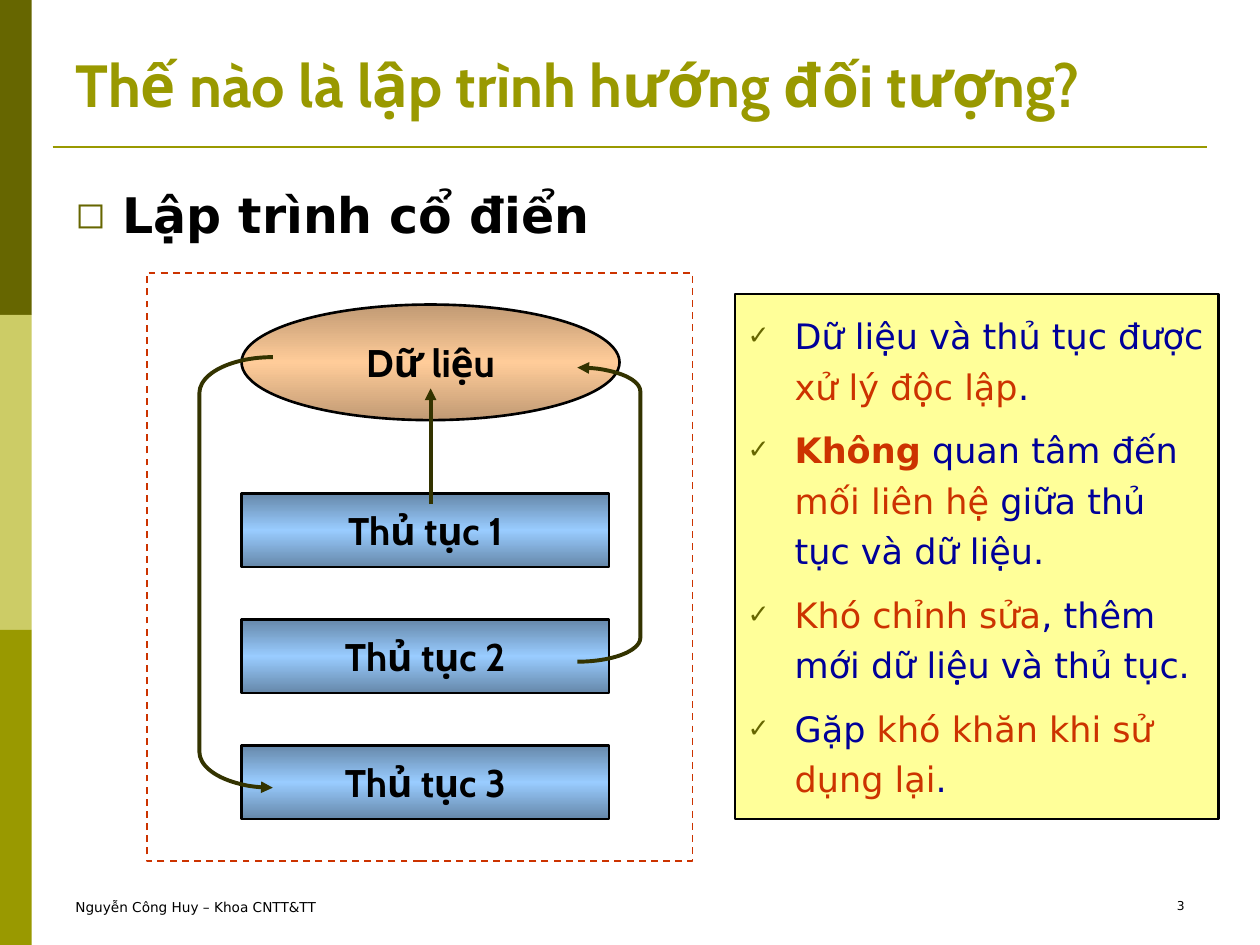
from copy import deepcopy

from lxml import etree
from pptx import Presentation
from pptx.dml.color import RGBColor
from pptx.enum import dml, shapes, text
from pptx.oxml.ns import qn
from pptx.util import Cm, Pt

OLIVE = RGBColor(0x99, 0x99, 0x00)
DARK_OLIVE = RGBColor(0x66, 0x66, 0x00)
LIGHT_OLIVE = RGBColor(0xCC, 0xCC, 0x66)
ARROW = RGBColor(0x33, 0x33, 0x00)
BLACK = RGBColor(0x00, 0x00, 0x00)
RED = RGBColor(0xCC, 0x33, 0x00)
NAVY = RGBColor(0x00, 0x00, 0x99)
YELLOW = RGBColor(0xFF, 0xFF, 0x99)
TAN = (RGBColor(0xC1, 0x9A, 0x74), RGBColor(0xFF, 0xCC, 0x99))
BLUE = (RGBColor(0x66, 0x88, 0xAA), RGBColor(0x99, 0xCC, 0xFF))

TITLE = "Thế nào là lập trình hướng đối tượng?"
HEADING = "Lập trình cổ điển"
FOOTER = "Nguyễn Công Huy – Khoa CNTT&TT"
NUMBER = "3"
DATA = "Dữ liệu"
PROCEDURES = ["Thủ tục 1", "Thủ tục 2", "Thủ tục 3"]
# Each remark is a list of (text, colour, bold)
REMARKS = [
    [("Dữ liệu và thủ tục được ", NAVY, False), ("xử lý độc lập", RED, False),
     (".", NAVY, False)],
    [("Không", RED, True), (" quan tâm đến ", NAVY, False),
     ("mối liên hệ", RED, False), (" giữa thủ tục và dữ liệu.", NAVY, False)],
    [("Khó chỉnh sửa", RED, False),
     (", thêm mới dữ liệu và thủ tục.", NAVY, False)],
    [("Gặp ", NAVY, False), ("khó khăn khi sử dụng lại", RED, False),
     (".", NAVY, False)],
]
STRIPES = [DARK_OLIVE, LIGHT_OLIVE, OLIVE]

TITLE_FONT = {"name": "Cabin", "size": Pt(34), "bold": True}
HEADING_FONT = {"name": "DejaVu Sans", "size": Pt(28), "bold": True}
LABEL_FONT = {"name": "Cabin", "size": Pt(22), "bold": True}
REMARK_FONT = {"name": "DejaVu Sans", "size": Pt(20)}
FOOTER_FONT = {"name": "DejaVu Sans", "size": Pt(7.8)}
NUMBER_FONT = {"name": "DejaVu Sans", "size": Pt(7)}

BOX_LEFT, BOX_WIDTH, BOX_HEIGHT = 4.87, 7.41, 1.48
FIRST_BOX_TOP, BOX_STEP = 9.95, 2.54
STRIPE_WIDTH, STRIPE_HEIGHT = 0.64, 6.35


def add_span(para, words, font, color):
    span = para.add_run()
    span.text = words
    for name, value in font.items():
        setattr(span.font, name, value)
    span.font.color.rgb = color


def add_bullet(para, char):
    """Give the paragraph a hanging olive bullet at 75 % size."""
    props = para._p.get_or_add_pPr()
    props.set("marL", str(Cm(0.95)))
    props.set("indent", str(-Cm(0.95)))
    color = etree.SubElement(props, qn("a:buClr"))
    etree.SubElement(color, qn("a:srgbClr"), val=str(DARK_OLIVE))
    etree.SubElement(props, qn("a:buSzPct"), val="75000")
    etree.SubElement(props, qn("a:buFont"), typeface="DejaVu Sans")
    etree.SubElement(props, qn("a:buChar"), char=char)


def add_box(page, kind, place, fill=None, line=None, width=1.5):
    box = page.shapes.add_shape(kind, *map(Cm, place))
    box.shadow.inherit = False
    if fill is None:
        box.fill.background()
    elif isinstance(fill, RGBColor):
        box.fill.solid()
        box.fill.fore_color.rgb = fill
    else:
        shade_vertically(box, *fill)
    if line is None:
        box.line.fill.background()
    else:
        box.line.color.rgb = line
        box.line.width = Pt(width)
    return box


def shade_vertically(box, edge, middle):
    box.fill.gradient()
    box.fill.gradient_angle = 90
    stops = box._element.spPr.find(qn("a:gradFill")).find(qn("a:gsLst"))
    stops.append(deepcopy(stops[0]))
    colors = zip(box.fill.gradient_stops, (0, 0.5, 1), (edge, middle, edge))
    for stop, position, color in colors:
        stop.position = position
        stop.color.rgb = color


def add_label(box, words):
    frame = box.text_frame
    frame.word_wrap = False
    frame.vertical_anchor = text.MSO_ANCHOR.MIDDLE
    para = frame.paragraphs[0]
    para.alignment = text.PP_ALIGN.CENTER
    add_span(para, words, LABEL_FONT, BLACK)


def add_text(page, place, words, font, align=text.PP_ALIGN.LEFT, bullet=None):
    frame = page.shapes.add_textbox(*map(Cm, place)).text_frame
    frame.word_wrap = True
    para = frame.paragraphs[0]
    para.alignment = align
    if bullet:
        add_bullet(para, bullet)
    add_span(para, words, font, BLACK)


def add_line(page, start, end, color, width):
    line = page.shapes.add_connector(
        shapes.MSO_CONNECTOR.STRAIGHT, *map(Cm, start + end))
    etree.SubElement(line._element.spPr, qn("a:effectLst"))
    line.line.color.rgb = color
    line.line.width = Pt(width)
    return line


def add_arrowhead(shape, end):
    outline = shape.line._get_or_add_ln()
    etree.SubElement(outline, qn(f"a:{end}"), type="triangle")


def add_background(page):
    for row, color in enumerate(STRIPES):
        place = (0, row * STRIPE_HEIGHT, STRIPE_WIDTH, STRIPE_HEIGHT)
        add_box(page, shapes.MSO_SHAPE.RECTANGLE, place, color)
    add_line(page, (1.06, 2.96), (24.34, 2.96), OLIVE, 1.5)


def add_title(page):
    title = page.shapes.title
    title.left, title.top, title.width, title.height = map(
        Cm, (1.27, 0.64, 23.7, 1.9))
    frame = title.text_frame
    frame.auto_size = text.MSO_AUTO_SIZE.NONE
    frame.vertical_anchor = text.MSO_ANCHOR.BOTTOM
    para = frame.paragraphs[0]
    para.alignment = text.PP_ALIGN.LEFT
    add_span(para, TITLE, TITLE_FONT, OLIVE)


def add_diagram(page):
    kinds = shapes.MSO_SHAPE
    border = add_box(page, kinds.RECTANGLE, (2.96, 5.5, 11, 11.86),
                     line=RED, width=1)
    border.line.dash_style = dml.MSO_LINE.DASH
    data = add_box(page, kinds.OVAL, (BOX_LEFT, 6.14, 7.62, 2.33), TAN, BLACK)
    add_label(data, DATA)
    for row, words in enumerate(PROCEDURES):
        top = FIRST_BOX_TOP + row * BOX_STEP
        procedure = add_box(page, kinds.RECTANGLE,
                            (BOX_LEFT, top, BOX_WIDTH, BOX_HEIGHT), BLUE, BLACK)
        add_label(procedure, words)
    arrow = add_line(page, (8.68, 10.16), (8.68, 7.83), ARROW, 2.25)
    add_arrowhead(arrow, "tailEnd")
    loops = [(kinds.RIGHT_BRACKET, (11.64, 7.41, 1.27, 5.93), 0.38),
             (kinds.LEFT_BRACKET, (4.02, 7.2, 1.48, 8.68), 0.49)]
    for kind, place, bend in loops:
        loop = add_box(page, kind, place, line=ARROW, width=2.25)
        loop.adjustments[0] = bend
        add_arrowhead(loop, "headEnd")


def add_remarks(page):
    panel = add_box(page, shapes.MSO_SHAPE.RECTANGLE,
                    (14.82, 5.93, 9.74, 10.58), YELLOW, BLACK)
    frame = panel.text_frame
    frame.word_wrap = True
    frame.vertical_anchor = text.MSO_ANCHOR.TOP
    frame.margin_top = frame.margin_bottom = Cm(0.25)
    for row, remark in enumerate(REMARKS):
        para = frame.add_paragraph() if row else frame.paragraphs[0]
        add_bullet(para, "✓")
        para.alignment = text.PP_ALIGN.LEFT
        para.line_spacing = 1.2
        if row:
            para.space_before = Pt(7.5)
        for words, color, bold in remark:
            add_span(para, words, {**REMARK_FONT, "bold": bold}, color)


def main():
    deck = Presentation()
    deck.slide_width, deck.slide_height = Cm(25.4), Cm(19.05)
    page = deck.slides.add_slide(deck.slide_layouts[5])
    add_background(page)
    add_text(page, (1.27, 17.99, 8.05, 0.64), FOOTER, FOOTER_FONT)
    add_text(page, (18.2, 17.99, 5.93, 0.64), NUMBER, NUMBER_FONT,
             text.PP_ALIGN.RIGHT)
    add_title(page)
    add_text(page, (1.27, 3.6, 22.86, 1.48), HEADING, HEADING_FONT, bullet="◻")
    add_diagram(page)
    add_remarks(page)
    deck.save("out.pptx")


if __name__ == "__main__":
    main()
